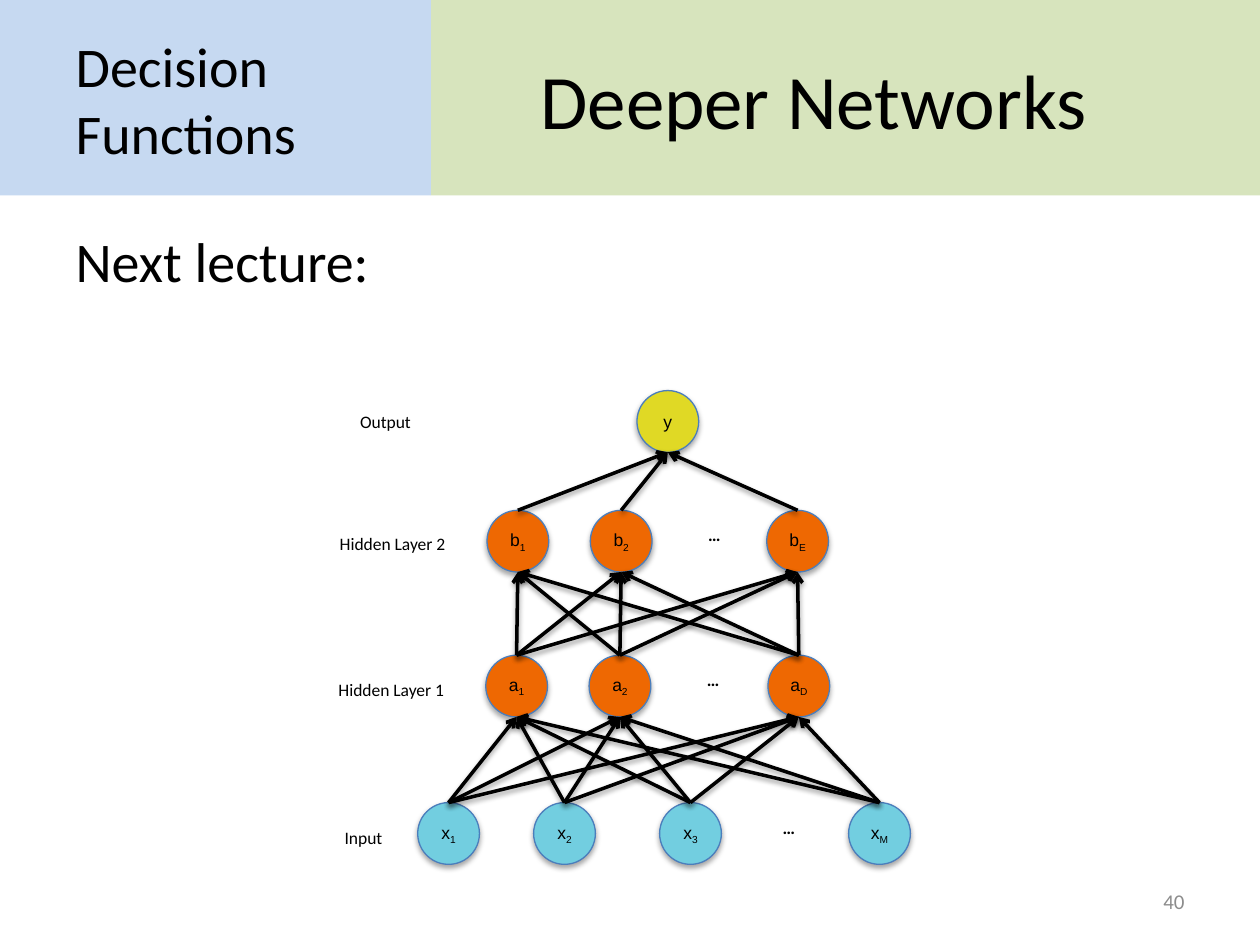
from itertools import product

from lxml import etree
from pptx import Presentation
from pptx import util as u
from pptx.dml.color import RGBColor
from pptx.enum import shapes, text
from pptx.oxml import ns

BLACK = RGBColor(0x00, 0x00, 0x00)
GREY = RGBColor(0x8C, 0x8C, 0x8C)
PALE_BLUE = RGBColor(0xC6, 0xD9, 0xF1)
PALE_GREEN = RGBColor(0xD7, 0xE4, 0xBD)
CYAN = RGBColor(0x72, 0xCE, 0xE0)
ORANGE = RGBColor(0xEE, 0x68, 0x02)
YELLOW = RGBColor(0xE0, 0xD9, 0x25)
OUTLINE = RGBColor(0x4B, 0x7E, 0xBC)

DIAMETER = 0.49
# name, name box (left, top, width), top, fill, unit letter, units, ellipsis centre
LAYERS = [
    ("Output", (2.76, 3.21, 0.77), 3.1, YELLOW, "y", [("", 5.3)], None),
    ("Hidden Layer 2", (2.5, 4.18, 1.23), 4.05, ORANGE, "b",
     [("1", 4.11), ("2", 4.93), ("E", 6.33)], 5.67),
    ("Hidden Layer 1", (2.49, 5.34, 1.23), 5.2, ORANGE, "a",
     [("1", 4.1), ("2", 4.92), ("D", 6.34)], 5.66),
    ("Input", (2.5, 6.51, 0.77), 6.37, CYAN, "x",
     [("1", 3.56), ("2", 4.48), ("3", 5.48), ("M", 6.98)], 6.26),
]


def box(left, top, width, height):
    """Return a position and size in inches as lengths."""
    return [u.Inches(value) for value in (left, top, width, height)]


def style(paragraph, size, align, font="Calibri", color=BLACK, bold=False):
    """Format a whole paragraph."""
    paragraph.alignment = align
    paragraph.font.size = u.Pt(size)
    paragraph.font.name = font
    paragraph.font.color.rgb = color
    paragraph.font.bold = bold


def add_effects(shape, opacity=None, distance=1.8):
    """Give a shape a soft drop shadow of the given opacity in percent."""
    effects = etree.SubElement(shape.element.spPr, ns.qn("a:effectLst"))
    shadow = etree.SubElement(
        effects, ns.qn("a:outerShdw"), blurRad=str(u.Pt(3.1)),
        dist=str(u.Pt(distance)), dir="5400000", rotWithShape="0")
    black = etree.SubElement(shadow, ns.qn("a:srgbClr"), val="000000")
    etree.SubElement(black, ns.qn("a:alpha"), val=str(opacity * 1000))


def add_band(slide, left, width, color):
    """Add a header band behind the placeholders."""
    band = slide.shapes.add_shape(
        shapes.MSO_SHAPE.RECTANGLE, *box(left, 0, width, 1.55))
    band.shadow.inherit = False
    band.fill.solid()
    band.fill.fore_color.rgb = color
    band.line.fill.background()
    slide.shapes.element.insert(2, band.element)


def fill_placeholder(holder, wording, place, size, align, anchor):
    """Place a title or body placeholder and write its unbulleted text."""
    holder.left, holder.top, holder.width, holder.height = box(*place)
    frame = holder.text_frame
    frame.text = wording
    frame.vertical_anchor = anchor
    paragraph = frame.paragraphs[0]
    properties = paragraph._p.get_or_add_pPr()
    properties.set("marL", "0")
    properties.set("indent", "0")
    etree.SubElement(properties, ns.qn("a:buNone"))
    paragraph.space_before = u.Pt(0)
    style(paragraph, size, align)


def add_label(slide, wording, place, align, size=10, color=BLACK, bold=False):
    """Add a small text box."""
    frame = slide.shapes.add_textbox(*box(*place)).text_frame
    frame.word_wrap = True
    frame.vertical_anchor = text.MSO_ANCHOR.MIDDLE
    frame.text = wording
    style(frame.paragraphs[0], size, align, color=color, bold=bold)


def add_unit(slide, center, top, color, letter, subscript):
    """Add one network unit with its subscripted letter."""
    unit = slide.shapes.add_shape(
        shapes.MSO_SHAPE.FLOWCHART_CONNECTOR,
        *box(center - DIAMETER / 2, top, DIAMETER, DIAMETER))
    unit.fill.solid()
    unit.fill.fore_color.rgb = color
    unit.line.color.rgb = OUTLINE
    unit.line.width = u.Pt(0.75)
    add_effects(unit, 35)
    frame = unit.text_frame
    frame.margin_left = frame.margin_right = 0
    frame.vertical_anchor = text.MSO_ANCHOR.MIDDLE
    paragraph = frame.paragraphs[0]
    paragraph.add_run().text = letter
    if subscript:
        index = paragraph.add_run()
        index.text = subscript
        index.font._element.set("baseline", "-25000")
    style(paragraph, 10, text.PP_ALIGN.CENTER, font="Arial")


def add_edge(slide, upper, lower):
    """Add a line with its arrowhead at the upper unit."""
    edge = slide.shapes.add_connector(
        shapes.MSO_CONNECTOR.STRAIGHT, *box(*upper, *lower))
    edge.line.color.rgb = BLACK
    edge.line.width = u.Pt(2)
    etree.SubElement(edge.line._get_or_add_ln(), ns.qn("a:headEnd"), type="arrow")
    add_effects(edge, 38, distance=1.6)


def add_network(slide):
    """Add every layer and the edges between neighbouring layers."""
    center = text.PP_ALIGN.CENTER
    for name, (left, name_top, width), top, color, letter, units, gap in LAYERS:
        align = text.PP_ALIGN.LEFT if name == "Output" else center
        add_label(slide, name, (left, name_top, width, 0.27), align)
        for subscript, middle in units:
            add_unit(slide, middle, top, color, letter, subscript)
        if gap:
            add_label(slide, "…", (gap - 0.16, top + 0.06, 0.32, 0.27),
                      center, bold=True)
    for upper, lower in zip(LAYERS, LAYERS[1:]):
        for (_, target), (_, origin) in product(upper[5], lower[5]):
            add_edge(slide, (target, upper[2] + DIAMETER), (origin, lower[2]))


def main():
    """Build the slide and save it."""
    deck = Presentation()
    deck.slide_width, deck.slide_height = u.Inches(10), u.Inches(7.5)
    slide = deck.slides.add_slide(deck.slide_layouts[3])
    add_band(slide, 0, 3.42, PALE_BLUE)
    add_band(slide, 3.42, 6.58, PALE_GREEN)
    title, body, topic = slide.placeholders
    left, middle = text.PP_ALIGN.LEFT, text.MSO_ANCHOR.MIDDLE
    fill_placeholder(title, "Deeper Networks", (3.42, 0.16, 6.08, 1.25), 44,
                     text.PP_ALIGN.CENTER, middle)
    fill_placeholder(body, "Next lecture:", (0.5, 1.75, 9, 4.95), 32,
                     left, text.MSO_ANCHOR.TOP)
    fill_placeholder(topic, "Decision Functions", (0.5, 0.16, 2.92, 1.25), 32,
                     left, middle)
    add_network(slide)
    add_label(slide, "40", (7.17, 6.95, 2.33, 0.4), text.PP_ALIGN.RIGHT,
              size=12, color=GREY)
    deck.save("out.pptx")


if __name__ == "__main__":
    main()
